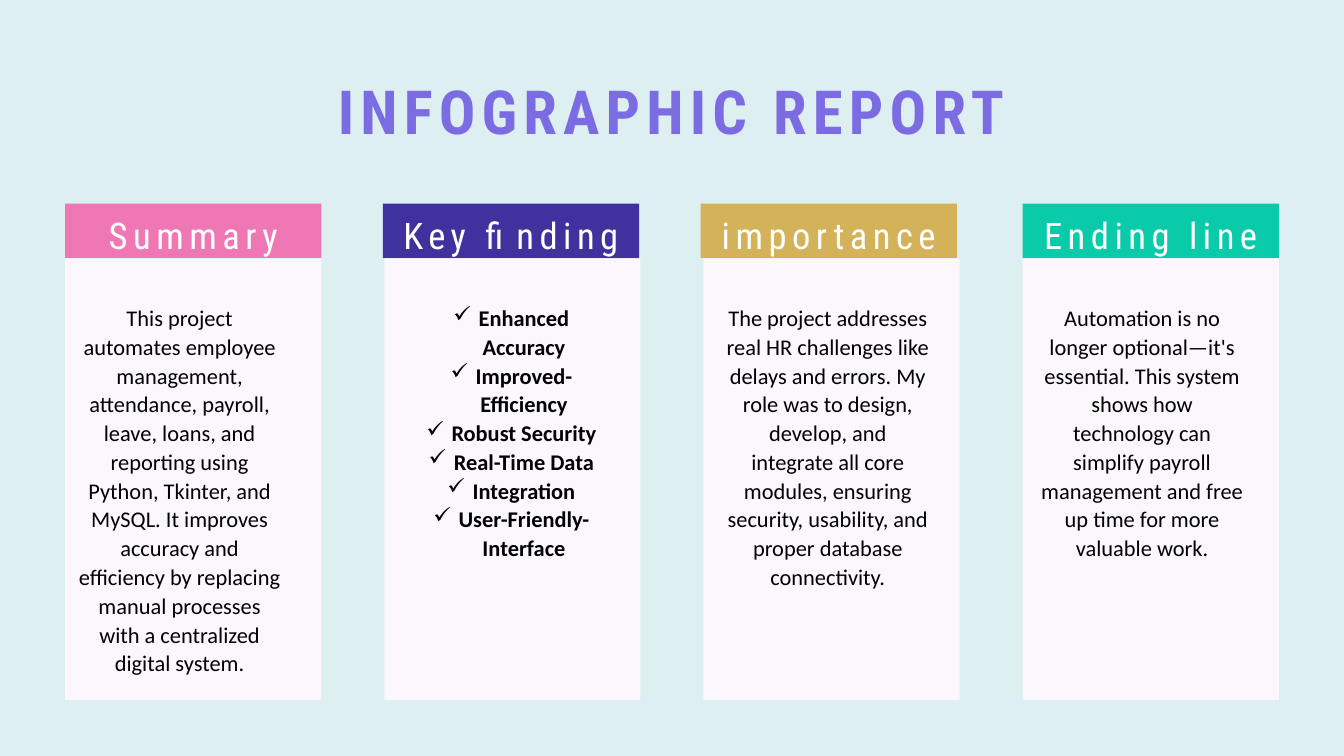
from lxml import etree
from pptx import Presentation
from pptx.dml.color import RGBColor
from pptx.enum import shapes, text
from pptx.oxml.ns import qn
from pptx.util import Pt

PX = 9525  # EMU per px, 96 px to the inch
THEME = {
    "background": "DDEFF0", "panel": "FCF7FC", "body": "000000",
    "title": "7C6CE3", "header": "FFFFFF",
    "display_font": "Roboto Condensed", "body_font": "Calibri",
    "title_size": 65.1, "header_size": 39.2, "body_size": 24,
    "title_leading": 72.3, "header_leading": 54.9, "body_leading": 30.8,
}
CARD_W, HEADER_Y, HEADER_H, PANEL_H = 366, 291, 78, 631
PANEL_X, PANEL_STEP = 93, 456
BODY_Y, BODY_W, INDENT = 432, 291, 36

# heading, colour, header left, text left, text height, paragraphs, bulleted
CARDS = [
    ("Summary", "EF78B4", 93, 111, 540, [
        "This project automates employee management, attendance, payroll, "
        "leave, loans, and reporting using Python, Tkinter, and MySQL. It "
        "improves accuracy and efficiency by replacing manual processes with "
        "a centralized digital system."], False),
    ("Key finding", "40329E", 547, 585, 334, [
        "Enhanced Accuracy", "Improved-Efficiency", "Robust Security",
        "Real-Time Data", "Integration", "User-Friendly-Interface"], True),
    ("importance", "D4B25A", 1001, 1037, 416, [
        "The project addresses real HR challenges like delays and errors. My "
        "role was to design, develop, and integrate all core modules, "
        "ensuring security, usability, and proper database connectivity."],
        False),
    ("Ending line", "0ACBA9", 1461, 1486, 373, [
        "Automation is no longer optional—it's essential. This system shows "
        "how technology can simplify payroll management and free up time for "
        "more valuable work."], False),
]

prs = Presentation()
prs.slide_width, prs.slide_height = 1920 * PX, 1080 * PX
s = prs.slides.add_slide(prs.slide_layouts[6])
s.background.fill.solid()
s.background.fill.fore_color.rgb = RGBColor.from_string(THEME["background"])


def add_block(x, y, w, h, color):
    sp = s.shapes.add_shape(shapes.MSO_SHAPE.RECTANGLE,
                            x * PX, y * PX, w * PX, h * PX)
    sp.shadow.inherit = False
    sp.fill.solid()
    sp.fill.fore_color.rgb = RGBColor.from_string(color)
    sp.line.fill.background()


def add_text(x, y, w, h, lines, role, font, bold=False, spacing=0,
             inset=0, bullet=False):
    tf = s.shapes.add_textbox(x * PX, y * PX, w * PX, h * PX).text_frame
    tf.word_wrap = True
    tf.margin_left = tf.margin_right = inset * PX
    tf.margin_top = tf.margin_bottom = inset * PX
    if role == "header":
        tf.vertical_anchor = text.MSO_ANCHOR.MIDDLE
    else:
        tf.auto_size = text.MSO_AUTO_SIZE.SHAPE_TO_FIT_TEXT
    for i, line in enumerate(lines):
        p = tf.add_paragraph() if i else tf.paragraphs[0]
        if bullet:
            pPr = p._p.get_or_add_pPr()
            pPr.set("marL", str(INDENT * PX))
            pPr.set("indent", str(-INDENT * PX))
            etree.SubElement(pPr, qn("a:buChar")).set("char", "✓")
        p.alignment = text.PP_ALIGN.CENTER
        p.line_spacing = Pt(THEME[role + "_leading"])
        r = p.add_run()
        r.text = line
        r.font.name = THEME[font]
        r.font.size = Pt(THEME[role + "_size"])
        r.font.bold = bold
        r.font.color.rgb = RGBColor.from_string(THEME[role])
        if spacing:
            r._r.get_or_add_rPr().set("spc", str(spacing))


# Card headers
for heading, color, x, *_ in CARDS:
    add_block(x, HEADER_Y, CARD_W, HEADER_H, color)
    add_text(x, 274, CARD_W, 112, [heading], "header", "display_font",
             spacing=590, inset=6)

# Card panels
for i in range(len(CARDS)):
    add_block(PANEL_X + i * PANEL_STEP, HEADER_Y + HEADER_H,
              CARD_W, PANEL_H, THEME["panel"])

# Card text
for _, _, _, x, h, lines, bulleted in CARDS:
    add_text(x, BODY_Y, BODY_W, h, lines, "body", "body_font",
             bold=bulleted, bullet=bulleted)

# Title
add_text(14, 113, 1890, 99, ["INFOGRAPHIC REPORT"], "title", "display_font",
         bold=True, spacing=660)

prs.save("out.pptx")
